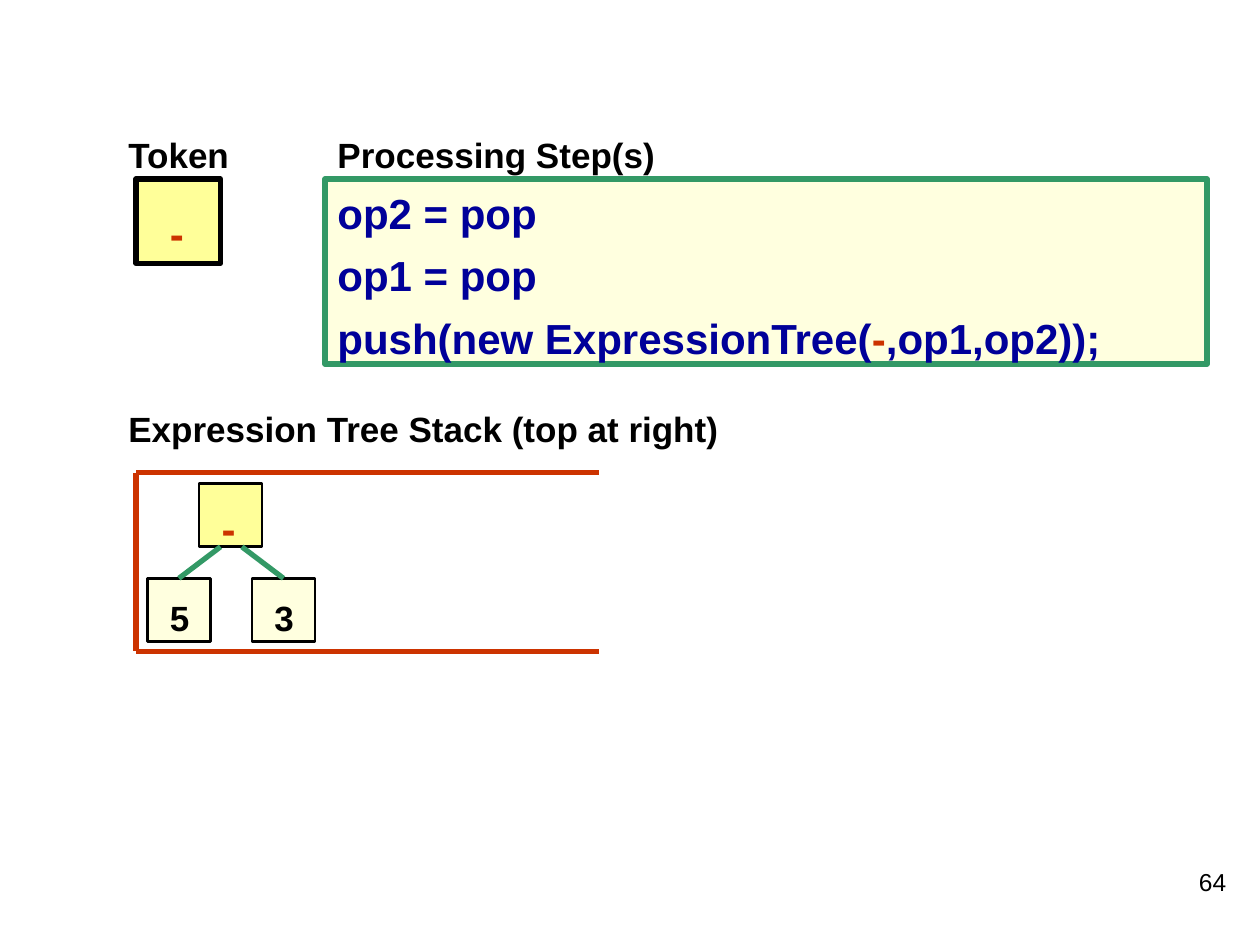
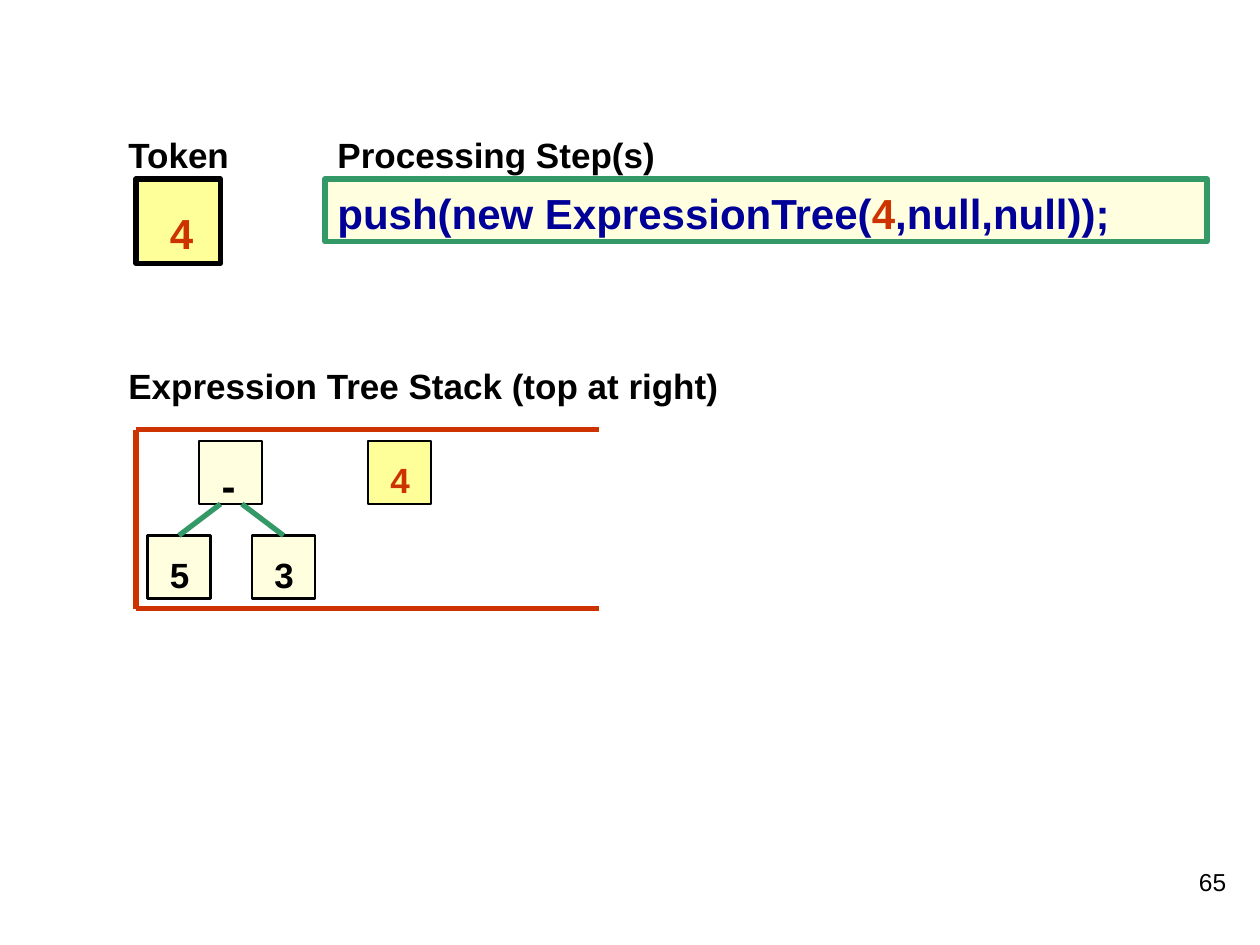
from dataclasses import dataclass

import lxml.etree
import pptx
import pptx.dml.color
import pptx.enum.shapes
import pptx.enum.text
import pptx.oxml.ns
import pptx.util
from pptx.util import Inches

COLORS = {
    "black": "000000",
    "active": "FFFF99",
    "pale": "FFFFDF",
    "red": "CC3300",
    "green": "339966",
    "navy": "000099",
}
FONT = "Arial"
LEFT, STEPS_LEFT = 0.92, 2.58
NODE, LABEL_OFFSET = 0.5, 0.08
ROOT_DY, LEAF_DY = 0.67, 1.42
STACK_LEFT, STACK_RIGHT = 1.08, 4.75
STACK_TOP_DY, STACK_BOTTOM_DY = 0.58, 2.0

Run = tuple[str, str]


@dataclass
class Node:
    symbol: str
    left: float
    dy: float
    fresh: bool = False


@dataclass
class Step:
    """One token of the expression and the stack it leaves behind."""
    number: int
    token: str
    lines: list[list[Run]]
    steps_height: float
    stack_y: float
    nodes: list[Node]


LEAVES = [Node("5", 1.17, LEAF_DY), Node("3", 2.0, LEAF_DY)]
STEPS = [
    Step(64, "-",
         [[("op2 = pop", "navy")],
          [("op1 = pop", "navy")],
          [("push(new ExpressionTree(", "navy"), ("-", "red"),
           (",op1,op2));", "navy")]],
         1.47, 3.17,
         [*LEAVES, Node("-", 1.58, ROOT_DY, True)]),
    Step(65, "4",
         [[("push(new ExpressionTree(", "navy"), ("4", "red"),
           (",null,null));", "navy")]],
         0.5, 2.83,
         [*LEAVES, Node("-", 1.58, ROOT_DY),
          Node("4", 2.92, ROOT_DY, True)]),
]


def rgb(name: str) -> pptx.dml.color.RGBColor:
    return pptx.dml.color.RGBColor.from_string(COLORS[name])


def write(sp, lines: list[list[Run]], size: float, bold: bool = True,
          align=pptx.enum.text.PP_ALIGN.LEFT, spacing: float = 1.04) -> None:
    tf = sp.text_frame
    tf.word_wrap = True
    tf.vertical_anchor = pptx.enum.text.MSO_ANCHOR.TOP
    for i, runs in enumerate(lines):
        p = tf.add_paragraph() if i else tf.paragraphs[0]
        p.alignment = align
        p.line_spacing = spacing
        if i:
            p.space_before = pptx.util.Pt(6)
        for text, color in runs:
            r = p.add_run()
            r.text = text
            r.font.name = FONT
            r.font.size = pptx.util.Pt(size)
            r.font.bold = bold
            r.font.color.rgb = rgb(color)


def add_text(s, text: str, x: float, y: float, w: float, h: float,
             size: float = 20, color: str = "black", **style) -> None:
    sp = s.shapes.add_textbox(Inches(x), Inches(y), Inches(w), Inches(h))
    write(sp, [[(text, color)]], size, **style)


def add_box(s, x: float, y: float, w: float, h: float, fill: str,
            line: str = "black", weight: float = 3):
    sp = s.shapes.add_shape(pptx.enum.shapes.MSO_SHAPE.RECTANGLE,
                            Inches(x), Inches(y), Inches(w), Inches(h))
    sp.shadow.inherit = False
    sp.fill.solid()
    sp.fill.fore_color.rgb = rgb(fill)
    sp.line.color.rgb = rgb(line)
    sp.line.width = pptx.util.Pt(weight)
    return sp


def add_line(s, x1: float, y1: float, x2: float, y2: float,
             color: str) -> None:
    line = s.shapes.add_connector(
        pptx.enum.shapes.MSO_CONNECTOR.STRAIGHT,
        Inches(x1), Inches(y1), Inches(x2), Inches(y2))
    line.line.color.rgb = rgb(color)
    line.line.width = pptx.util.Pt(3)
    lxml.etree.SubElement(line._element.spPr,
                          pptx.oxml.ns.qn("a:effectLst"))


def add_node(s, node: Node, stack_y: float) -> None:
    y = stack_y + node.dy
    add_box(s, node.left, y, NODE, NODE,
            "active" if node.fresh else "pale", weight=1.5)
    operator = node.symbol == "-"
    add_text(s, node.symbol, node.left + LABEL_OFFSET, y + LABEL_OFFSET,
             0.42, 0.5 if operator else 0.44, 24 if operator else 20,
             "red" if node.fresh else "black")


def add_stack(s, step: Step) -> None:
    y = step.stack_y
    top, bottom = y + STACK_TOP_DY, y + STACK_BOTTOM_DY
    add_text(s, "Expression Tree Stack (top at right)", LEFT, y, 5.17, 0.44)
    for edge in (top, bottom):
        add_line(s, STACK_RIGHT, edge, STACK_LEFT, edge, "red")
    add_line(s, STACK_LEFT, top, STACK_LEFT, bottom, "red")
    for node in step.nodes:
        add_node(s, node, y)
    for start, end in ((1.75, 1.42), (1.92, 2.25)):
        add_line(s, start, y + ROOT_DY + NODE, end, y + LEAF_DY, "green")


def add_step(prs, step: Step) -> None:
    s = prs.slides.add_slide(prs.slide_layouts[6])
    add_box(s, 1.08, 1.42, 0.67, 0.67, "active")
    add_text(s, "Token", LEFT, 1, 1.08, 0.44)
    add_text(s, step.token, 1.25, 1.58, 0.5, 0.5, 24, "red")
    steps = add_box(s, STEPS_LEFT, 1.42, 7, step.steps_height,
                    "pale", "green")
    write(steps, step.lines, 24)
    add_text(s, "Processing Step(s)", STEPS_LEFT, 1, 3.08, 0.44)
    add_stack(s, step)
    add_text(s, str(step.number), 7.75, 6.83, 2.08, 0.5, 14, bold=False,
             align=pptx.enum.text.PP_ALIGN.RIGHT, spacing=1.0)


def main() -> None:
    prs = pptx.Presentation()
    prs.slide_width, prs.slide_height = Inches(10), Inches(7.5)
    for step in STEPS:
        add_step(prs, step)
    prs.save("out.pptx")


if __name__ == "__main__":
    main()
